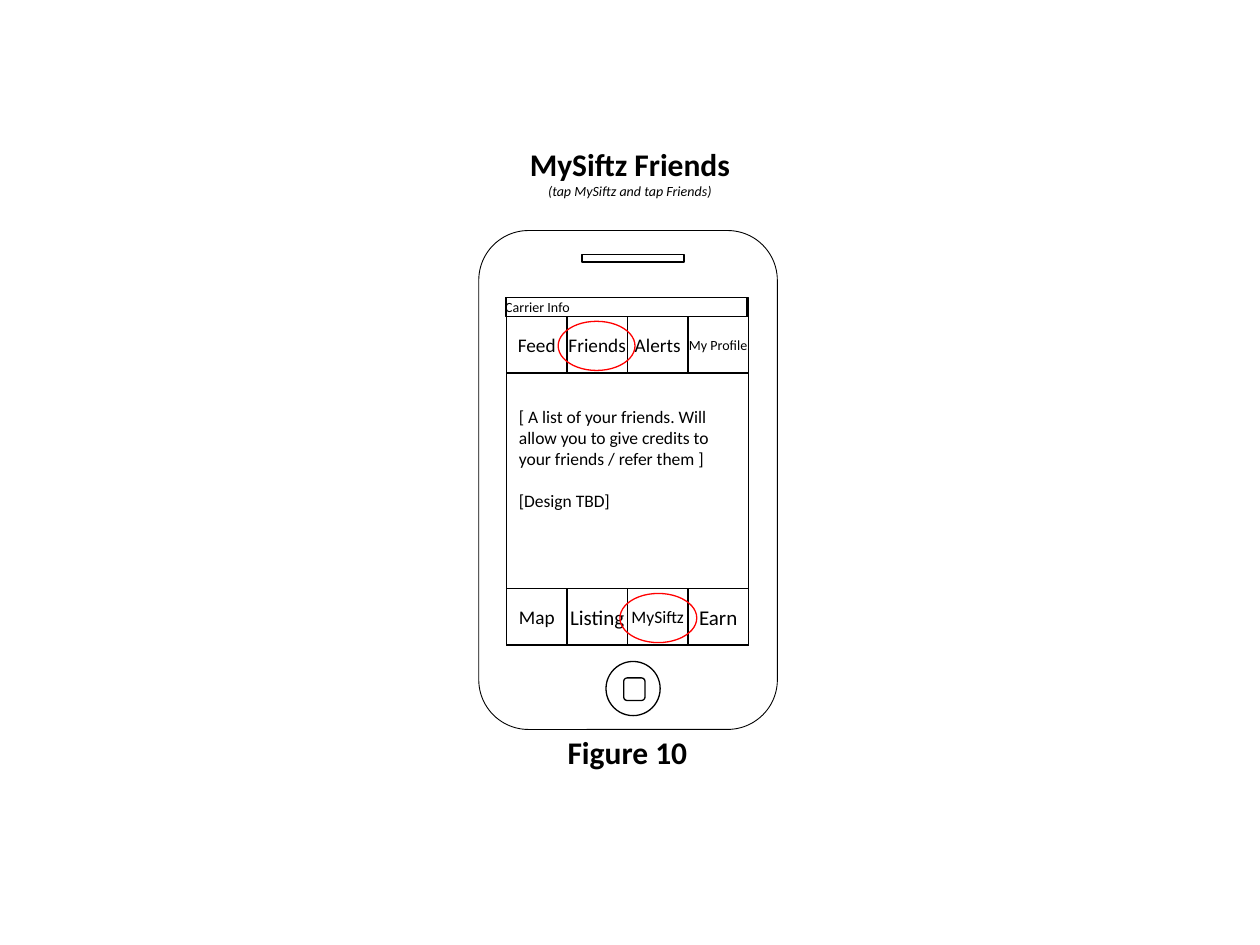
from dataclasses import dataclass

from pptx import Presentation
from pptx.dml.color import RGBColor
from pptx.enum.shapes import MSO_SHAPE as SHAPE
from pptx.enum.text import MSO_ANCHOR as ANCHOR, MSO_AUTO_SIZE as AUTO, PP_ALIGN as ALIGN
from pptx.util import Inches, Pt

COLORS = {"ink": "000000", "highlight": "FF0000"}
FONT = "Calibri"
SCREEN_LEFT, SCREEN_TOP, SCREEN_W = 4.02, 2.36, 1.92
TAB_W, TAB_H = SCREEN_W / 4, 0.45
TOP_TABS_Y, BOTTOM_TABS_Y = 2.51, 4.67


@dataclass
class Outline:
    """An unfilled shape with a thin line."""
    kind: SHAPE
    left: float
    top: float
    width: float
    height: float
    color: str = "ink"
    weight: float = 0.75


@dataclass
class Tab:
    """A labelled button of a tab bar."""
    label: str
    size: float


PHONE = [
    Outline(SHAPE.RECTANGLE, SCREEN_LEFT, SCREEN_TOP, SCREEN_W, 2.76),
    Outline(SHAPE.ROUNDED_RECTANGLE, 3.8, 1.83, 2.37, 3.96, weight=0.5),
    Outline(SHAPE.OVAL, 4.81, 5.25, 0.43, 0.43),
    Outline(SHAPE.RECTANGLE, 4.62, 2.02, 0.81, 0.06),
    Outline(SHAPE.ROUNDED_RECTANGLE, 4.95, 5.38, 0.17, 0.18),
]
TAB_BARS = {
    BOTTOM_TABS_Y: [Tab("Map", 11), Tab("Listing", 12), Tab("MySiftz", 10), Tab("Earn", 12)],
    TOP_TABS_Y: [Tab("Feed", 11), Tab("Friends", 11), Tab("Alerts", 11), Tab("My Profile", 8)],
}
HIGHLIGHTS = [
    Outline(SHAPE.OVAL, 4.92, 4.71, 0.61, 0.39, "highlight"),
    Outline(SHAPE.OVAL, 4.43, 2.55, 0.61, 0.39, "highlight"),
]


def draw_outline(s, o: Outline):
    """Draw an unfilled preset shape and return it."""
    sp = s.shapes.add_shape(o.kind, *map(Inches, (o.left, o.top, o.width, o.height)))
    sp.shadow.inherit = False
    sp.fill.background()
    sp.line.color.rgb = RGBColor.from_string(COLORS[o.color])
    sp.line.width = Pt(o.weight)
    return sp


def write(p, text: str, size: float, align=ALIGN.LEFT, bold=False, italic=False, before=0.0):
    """Put one formatted run into a paragraph."""
    p.alignment = align
    p.space_before = Pt(before)
    r = p.add_run()
    r.text = text
    f = r.font
    f.name, f.size, f.bold, f.italic = FONT, Pt(size), bold, italic
    f.color.rgb = RGBColor.from_string(COLORS["ink"])


def draw_label(s, o: Outline, text: str, size: float, align=ALIGN.CENTER):
    """Draw an outlined box with a label and no side margins."""
    tf = draw_outline(s, o).text_frame
    tf.margin_left = tf.margin_right = 0
    tf.vertical_anchor = ANCHOR.MIDDLE
    tf.word_wrap = True
    write(tf.paragraphs[0], text, size, align)


def add_text(s, left: float, top: float, width: float, height: float):
    """Add a wrapping text box and return its text frame."""
    tf = s.shapes.add_textbox(*map(Inches, (left, top, width, height))).text_frame
    tf.word_wrap = True
    tf.auto_size = AUTO.SHAPE_TO_FIT_TEXT
    return tf


def set_title(s):
    """Place and fill the title with its subtitle line."""
    title = s.shapes.title
    title.left, title.top, title.width, title.height = map(Inches, (3.15, 1.1, 3.7, 0.54))
    tf = title.text_frame
    tf.word_wrap = True
    tf.auto_size = AUTO.SHAPE_TO_FIT_TEXT
    tf.vertical_anchor = ANCHOR.TOP
    write(tf.paragraphs[0], "MySiftz Friends", 18, ALIGN.CENTER, bold=True)
    write(tf.add_paragraph(), "(tap MySiftz and tap Friends)", 8, ALIGN.CENTER, italic=True)


def main():
    """Build the phone wireframe slide."""
    prs = Presentation()
    prs.slide_width, prs.slide_height = Inches(10), Inches(7.5)
    s = prs.slides.add_slide(prs.slide_layouts[5])
    set_title(s)
    for part in PHONE:
        draw_outline(s, part)
    status = Outline(SHAPE.RECTANGLE, 4.01, SCREEN_TOP, SCREEN_W, 0.15)
    draw_label(s, status, "Carrier Info", 8, ALIGN.LEFT)
    for y, tabs in TAB_BARS.items():
        for i, tab in enumerate(tabs):
            box = Outline(SHAPE.RECTANGLE, SCREEN_LEFT + i * TAB_W, y, TAB_W, TAB_H)
            draw_label(s, box, tab.label, tab.size)
    for ring in HIGHLIGHTS:
        draw_outline(s, ring)
    tf = add_text(s, SCREEN_LEFT, 3.17, SCREEN_W, 0.94)
    write(tf.paragraphs[0], "[ A list of your friends. Will allow you to give credits to "
          "your friends / refer them ]", 10)
    write(tf.add_paragraph(), "[Design TBD]", 10, before=12)
    caption = add_text(s, 3.13, 5.77, 3.7, 0.61)
    write(caption.paragraphs[0], "Figure 10", 18, ALIGN.CENTER, bold=True)
    prs.save("out.pptx")


main()
